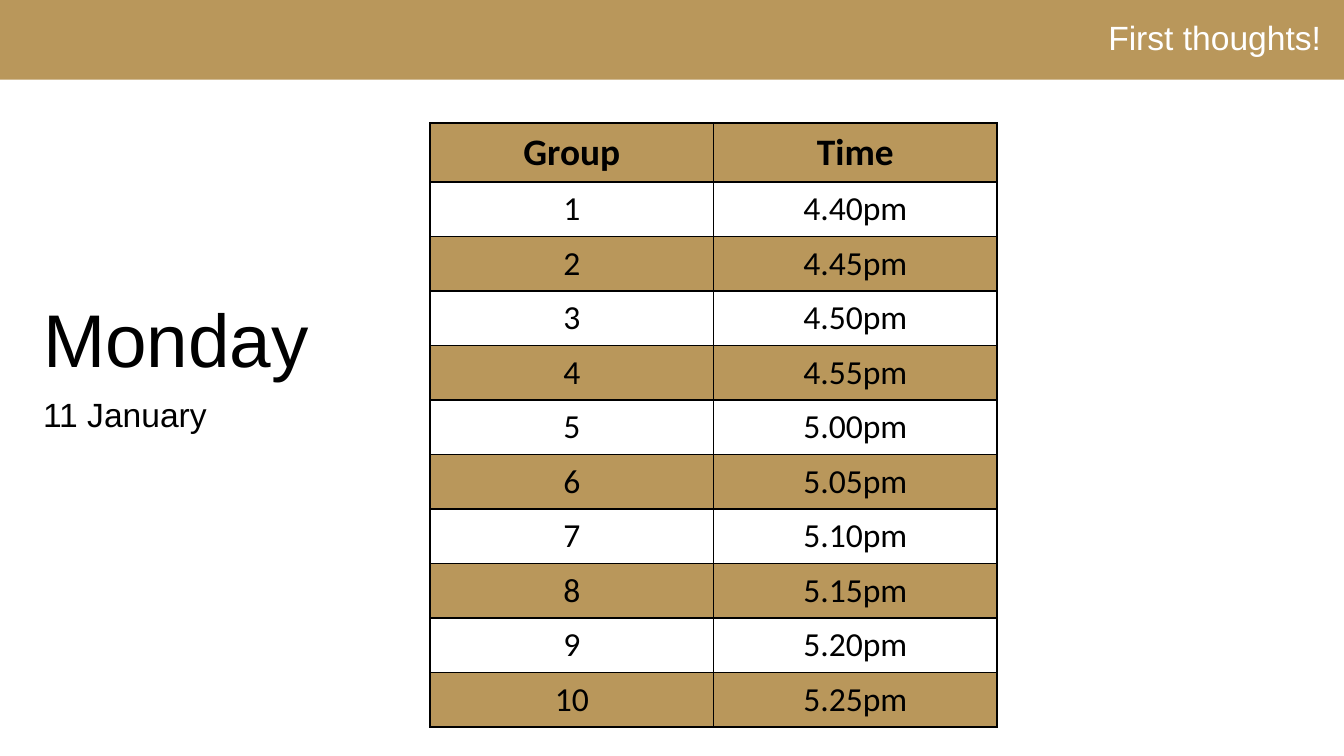
from dataclasses import dataclass
from typing import NamedTuple

from lxml.etree import SubElement
from pptx import Presentation
from pptx.dml.color import RGBColor
from pptx.enum.shapes import MSO_SHAPE
from pptx.enum.text import MSO_ANCHOR, PP_ALIGN
from pptx.oxml.ns import qn
from pptx.util import Pt


@dataclass(frozen=True)
class Theme:
    gold: RGBColor = RGBColor(0xB9, 0x97, 0x5B)
    white: RGBColor = RGBColor(255, 255, 255)
    black: RGBColor = RGBColor(0, 0, 0)
    sans: str = "Arial"
    grid: str = "Calibri"
    day: float = 40
    head: float = 20
    text: float = 18


class Box(NamedTuple):
    left: float
    top: float
    width: float
    height: float

    def points(self) -> list:
        return [Pt(n) for n in self]


class Line(NamedTuple):
    text: str
    size: float
    color: RGBColor
    font: str
    align: PP_ALIGN
    bold: bool = False
    before: float = 0
    pitch: float = 1


THEME = Theme()
PAGE = Box(0, 0, 720, 405)
BAND = Box(0, 0, 720, 42.7)
DATE = Box(16, 159, 202, 57)
GRID = Box(230.4, 66, 303.8, 323.6)
HEAD_ROW, ROW = 31.6, 29.2
START, STEP, COUNT = 40, 5, 10


def assign(item, values: dict) -> None:
    for name, value in values.items():
        setattr(item, name, value)


def write(par, line: Line) -> None:
    assign(par, {"alignment": line.align, "line_spacing": line.pitch})
    if line.before:
        par.space_before = Pt(line.before)
    run = par.add_run()
    run.text = line.text
    assign(run.font, {"size": Pt(line.size), "name": line.font, "bold": line.bold})
    run.font.color.rgb = line.color


def fill_frame(frame, lines: list[Line]) -> None:
    for i, line in enumerate(lines):
        write(frame.add_paragraph() if i else frame.paragraphs[0], line)


def draw_band(slide) -> None:
    band = slide.shapes.add_shape(MSO_SHAPE.RECTANGLE, *BAND.points())
    band.shadow.inherit = False
    band.fill.solid()
    band.fill.fore_color.rgb = THEME.gold
    band.line.fill.background()
    assign(band.text_frame, {
        "word_wrap": True,
        "vertical_anchor": MSO_ANCHOR.MIDDLE,
        "margin_right": Pt(12.2),
    })
    fill_frame(band.text_frame, [
        Line("First thoughts!", THEME.text, THEME.white, THEME.sans,
             PP_ALIGN.RIGHT, pitch=0.9),
    ])


def draw_date(slide) -> None:
    frame = slide.shapes.add_textbox(*DATE.points()).text_frame
    frame.word_wrap = True
    look = (THEME.black, THEME.sans, PP_ALIGN.JUSTIFY)
    fill_frame(frame, [
        Line("Monday", THEME.day, *look, pitch=0.9),
        Line("11 January", THEME.text, *look, before=7.5, pitch=0.9),
    ])


def paint(cell, color: RGBColor) -> None:
    """Give a cell its black borders and its fill."""
    props = cell._tc.get_or_add_tcPr()
    for side in ("a:lnL", "a:lnR", "a:lnT", "a:lnB"):
        edge = SubElement(props, qn(side), w=str(Pt(1)))
        solid = SubElement(edge, qn("a:solidFill"))
        SubElement(solid, qn("a:srgbClr"), val=str(THEME.black))
    cell.fill.solid()
    cell.fill.fore_color.rgb = color


def slots() -> list[tuple[str, str]]:
    """List each group with its time, five minutes apart."""
    rows = []
    for i in range(COUNT):
        hour, minute = divmod(4 * 60 + START + i * STEP, 60)
        rows.append((str(i + 1), f"{hour}.{minute:02}pm"))
    return rows


def draw_grid(slide) -> None:
    rows = [("Group", "Time"), *slots()]
    table = slide.shapes.add_table(len(rows), 2, *GRID.points()).table
    assign(table, {"first_row": False, "horz_banding": False})
    for col in table.columns:
        col.width = Pt(GRID.width / 2)
    for r, row in enumerate(rows):
        head = r == 0
        table.rows[r].height = Pt(HEAD_ROW if head else ROW)
        for c, text in enumerate(row):
            cell = table.cell(r, c)
            paint(cell, THEME.white if r % 2 else THEME.gold)
            size = THEME.head if head else THEME.text
            write(cell.text_frame.paragraphs[0],
                  Line(text, size, THEME.black, THEME.grid, PP_ALIGN.CENTER, head))


def main() -> None:
    deck = Presentation()
    assign(deck, {"slide_width": Pt(PAGE.width), "slide_height": Pt(PAGE.height)})
    slide = deck.slides.add_slide(deck.slide_layouts[6])
    for draw in (draw_band, draw_date, draw_grid):
        draw(slide)
    deck.save("out.pptx")


if __name__ == "__main__":
    main()
